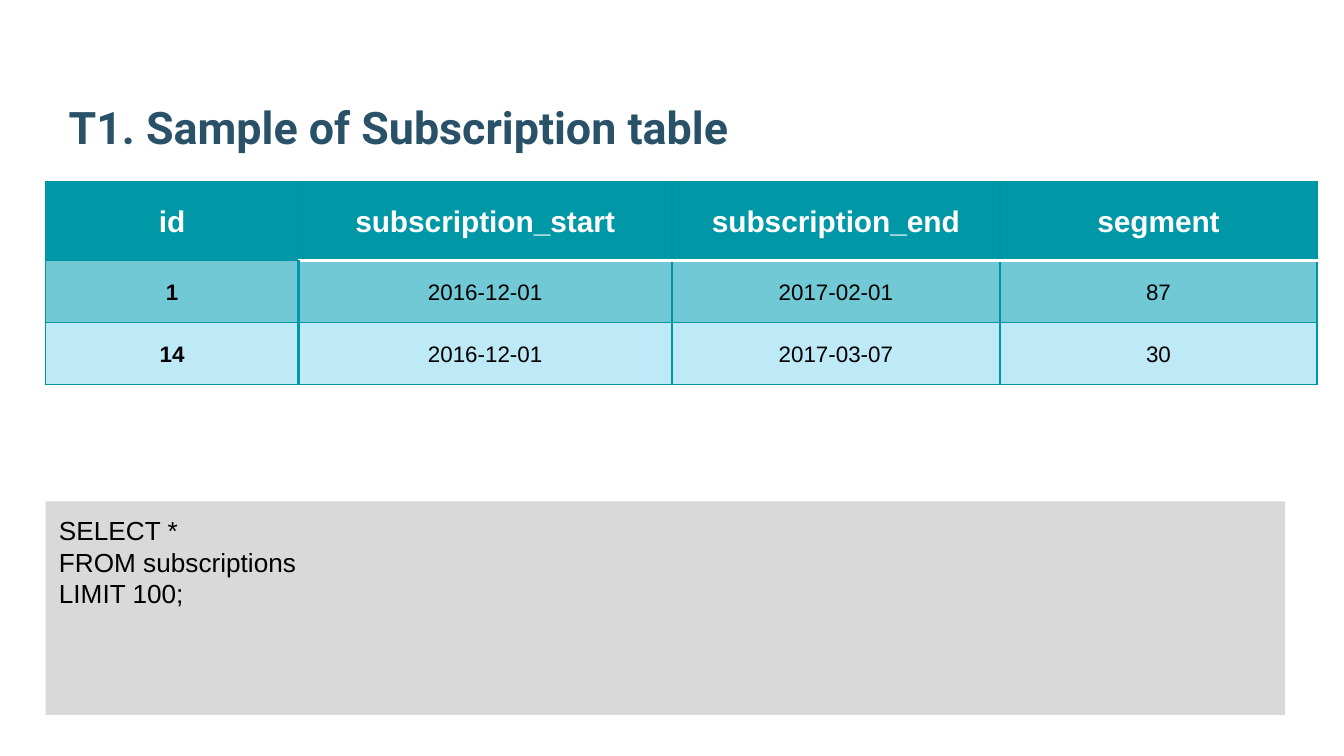
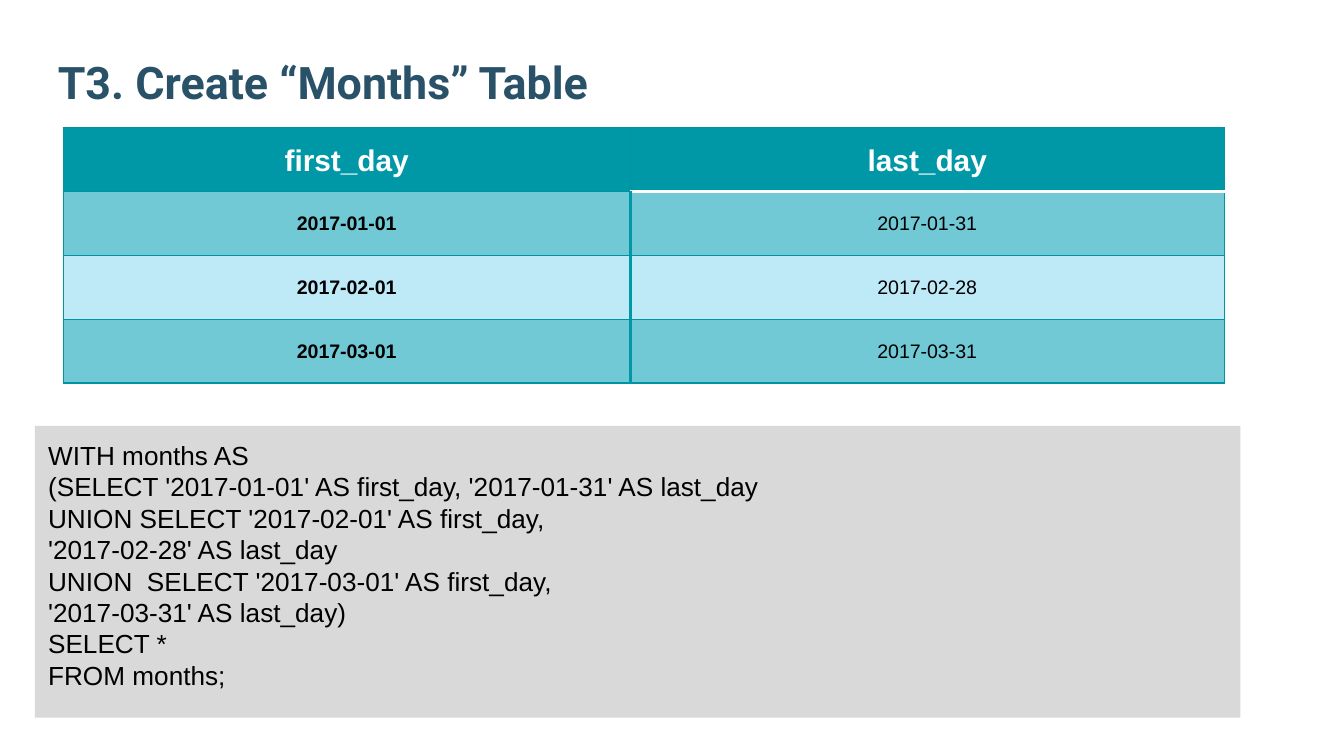
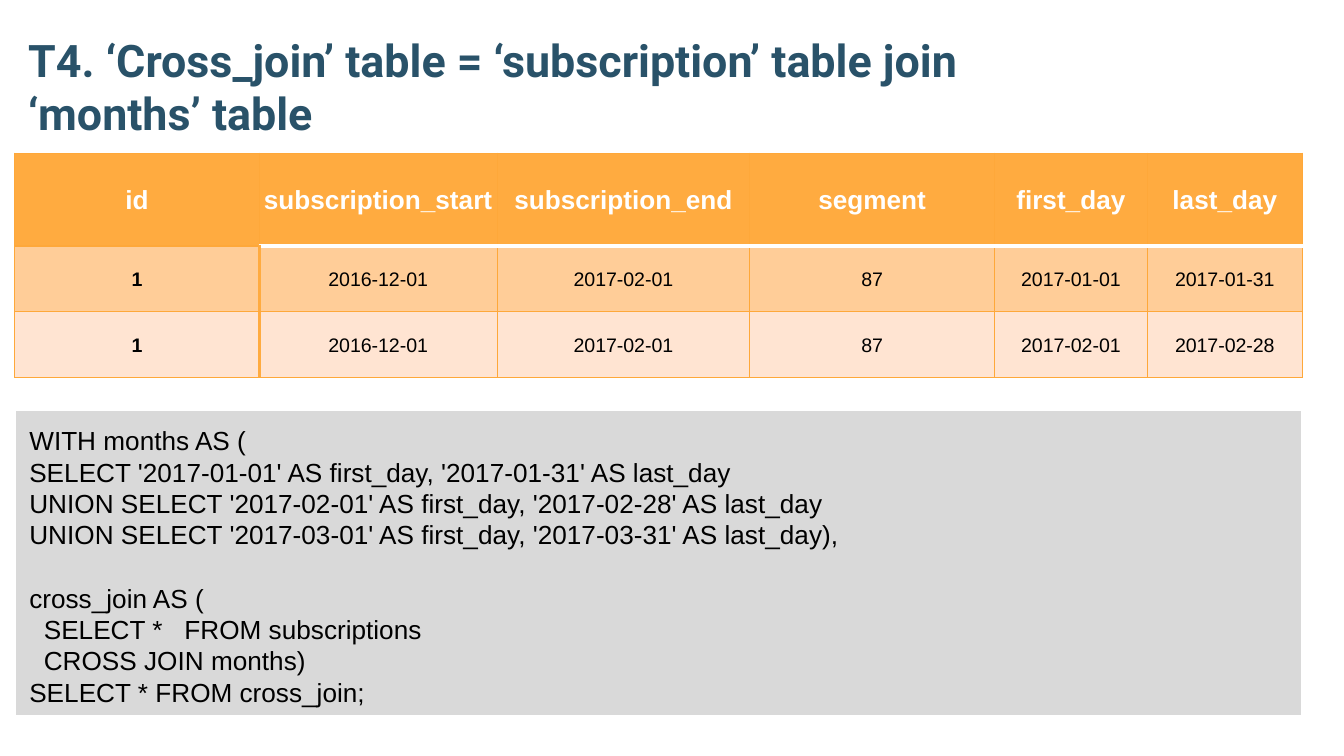
"""Build three slides that pair a sample table with its SQL query."""
from pptx import Presentation
from pptx.dml.color import RGBColor
from pptx.enum.shapes import MSO_SHAPE as Shape
from pptx.enum.text import MSO_ANCHOR as Anchor, MSO_AUTO_SIZE as Fit, PP_ALIGN as Align
from pptx.oxml.ns import qn
from pptx.util import Inches, Pt
from lxml.etree import SubElement

WHITE = RGBColor(0xFF, 0xFF, 0xFF)
BLACK = RGBColor(0, 0, 0)
NAVY = RGBColor(0x29, 0x52, 0x69)
GREY = RGBColor(0xD9, 0xD9, 0xD9)
TEAL = {"head": RGBColor(0x00, 0x97, 0xA7), "line": RGBColor(0x00, 0x94, 0xA3),
        "odd": RGBColor(0x71, 0xC9, 0xD5), "even": RGBColor(0xBE, 0xE9, 0xF7)}
AMBER = {"head": RGBColor(0xFF, 0xAB, 0x40), "line": RGBColor(0xFE, 0xA8, 0x3A),
         "odd": RGBColor(0xFF, 0xCD, 0x98), "even": RGBColor(0xFF, 0xE4, 0xD2)}

WIDE = Inches(10)
SIZE = {"slide_width": WIDE, "slide_height": WIDE * 9 // 16}
PAD = Inches(0.1)
INSET = {"margin_left": PAD, "margin_right": PAD, "margin_top": PAD, "margin_bottom": PAD}
FRAME = {**INSET, "word_wrap": True, "auto_size": Fit.NONE}
THIN = Inches(0.01)
CELL = {**dict.fromkeys(INSET, THIN), "vertical_anchor": Anchor.MIDDLE}
FLAGS = {"first_row": False, "horz_banding": False}

SAMPLE = """SELECT *
FROM subscriptions
LIMIT 100;"""

MONTHS = """WITH months AS
(SELECT '2017-01-01' AS first_day, '2017-01-31' AS last_day
UNION SELECT '2017-02-01' AS first_day,
'2017-02-28' AS last_day
UNION  SELECT '2017-03-01' AS first_day,
'2017-03-31' AS last_day)
SELECT *
FROM months;"""

CROSS = """WITH months AS (
SELECT '2017-01-01' AS first_day, '2017-01-31' AS last_day
UNION SELECT '2017-02-01' AS first_day, '2017-02-28' AS last_day
UNION SELECT '2017-03-01' AS first_day, '2017-03-31' AS last_day),

cross_join AS (
  SELECT *   FROM subscriptions
  CROSS JOIN months)
SELECT * FROM cross_join;"""


def style(item, vals):
    """Set each named value on an object."""
    for name, val in vals.items():
        setattr(item, name, val)


def write(para, text, face, size, color, bold=False, align=Align.LEFT):
    """Fill a paragraph with one formatted run."""
    para.alignment = align
    run = para.add_run()
    run.text = text
    style(run.font, {"name": face, "size": Pt(size), "bold": bold})
    run.font.color.rgb = color


def place(shape, box):
    """Move a shape to a box given in inches."""
    style(shape, dict(zip(("left", "top", "width", "height"), map(Inches, box))))


def add_title(slide, text, box, left=0.1):
    """Format the title placeholder."""
    shape = slide.shapes.title
    place(shape, box)
    frame = shape.text_frame
    style(frame, {**FRAME, "margin_left": Inches(left), "vertical_anchor": Anchor.BOTTOM})
    for num, line in enumerate(text.split("\n")):
        para = frame.add_paragraph() if num else frame.paragraphs[0]
        write(para, line, "Roboto", 24, NAVY, True)


def add_code(slide, code, box):
    """Draw a grey panel of code, with a line of space between blocks."""
    shape = slide.shapes.add_shape(Shape.RECTANGLE, *map(Inches, box))
    shape.shadow.inherit = False
    shape.fill.solid()
    shape.fill.fore_color.rgb = GREY
    shape.line.fill.background()
    frame = shape.text_frame
    style(frame, {**FRAME, "vertical_anchor": Anchor.TOP})
    para = frame.paragraphs[0]
    for part, block in enumerate(code.split("\n\n")):
        for num, line in enumerate(block.split("\n")):
            if part or num:
                para = frame.add_paragraph()
            if part and not num:
                para.space_before = Pt(17)
            write(para, line, "Arial", 14, BLACK)


def add_edge(cell, side, color, width):
    """Draw one border of a cell."""
    line = SubElement(cell._tc.get_or_add_tcPr(), qn(f"a:ln{side}"), w=str(Pt(width)))
    SubElement(SubElement(line, qn("a:solidFill")), qn("a:srgbClr"), val=str(color))


def add_edges(cell, row, col, tone):
    """Draw the four borders: white under the header, thick after the key column."""
    edges = dict.fromkeys("LRTB", (tone["line"], 0.75))
    if row and col < 2:
        edges["L" if col else "R"] = (tone["head"], 2)
    if col and row < 2:
        edges["T" if row else "B"] = (WHITE, 2)
    for side, (color, width) in edges.items():
        add_edge(cell, side, color, width)


def add_grid(slide, rows, spot, wides, highs, tone, sizes):
    """Add a table with a header row and a bold key column."""
    box = (*spot, sum(wides), sum(highs))
    grid = slide.shapes.add_table(len(rows), len(wides), *map(Inches, box)).table
    style(grid, FLAGS)
    for col, wide in zip(grid.columns, wides):
        col.width = Inches(wide)
    for row, high in zip(grid.rows, highs):
        row.height = Inches(high)
    for r, row in enumerate(rows):
        fill = tone["head" if r == 0 else "odd" if r % 2 else "even"]
        for c, text in enumerate(row):
            cell = grid.cell(r, c)
            style(cell, CELL)
            add_edges(cell, r, c, tone)
            cell.fill.solid()
            cell.fill.fore_color.rgb = fill
            para = cell.text_frame.paragraphs[0]
            para.line_spacing = 1.07
            write(para, text, "Arial", sizes[min(r, 1)], BLACK if r else WHITE,
                  r == 0 or c == 0, Align.CENTER)


def main():
    """Build and save the deck."""
    deck = Presentation()
    style(deck, SIZE)
    plain = deck.slide_layouts[5]

    slide = deck.slides.add_slide(plain)
    add_title(slide, "T1. Sample of Subscription table", (0.34, 0.32, 9.32, 0.92), 0.17)
    add_code(slide, SAMPLE, (0.34, 3.73, 9.22, 1.59))
    rows = [("id", "subscription_start", "subscription_end", "segment"),
            ("1", "2016-12-01", "2017-02-01", "87"),
            ("14", "2016-12-01", "2017-03-07", "30")]
    add_grid(slide, rows, (0.34, 1.35), (1.88, 2.78, 2.44, 2.36),
             (0.59, 0.46, 0.46), TEAL, (16, 12))

    slide = deck.slides.add_slide(plain)
    add_title(slide, "T3. Create “Months” Table", (0.26, 0.33, 9.22, 0.58), 0.17)
    add_code(slide, MONTHS, (0.26, 3.17, 8.97, 2.17))
    rows = [("first_day", "last_day"),
            ("2017-01-01", "2017-01-31"),
            ("2017-02-01", "2017-02-28"),
            ("2017-03-01", "2017-03-31")]
    add_grid(slide, rows, (0.47, 0.95), (4.22, 4.42), [1.9 / 4] * 4, TEAL, (16, 10.5))

    slide = deck.slides.add_slide(plain)
    add_title(slide, "T4. ‘Cross_join’ table = ‘subscription’ table join\n‘months’ table",
              (0.11, 0.1, 9.43, 1.04))
    add_code(slide, CROSS, (0.12, 3.06, 9.56, 2.26))
    rows = [("id", "subscription_start", "subscription_end", "segment", "first_day", "last_day"),
            ("1", "2016-12-01", "2017-02-01", "87", "2017-01-01", "2017-01-31"),
            ("1", "2016-12-01", "2017-02-01", "87", "2017-02-01", "2017-02-28")]
    add_grid(slide, rows, (0.11, 1.14), (1.82, 1.77, 1.88, 1.82, 1.14, 1.15),
             (0.69, 0.49, 0.49), AMBER, (14, 10.5))

    deck.save("out.pptx")


if __name__ == "__main__":
    main()
